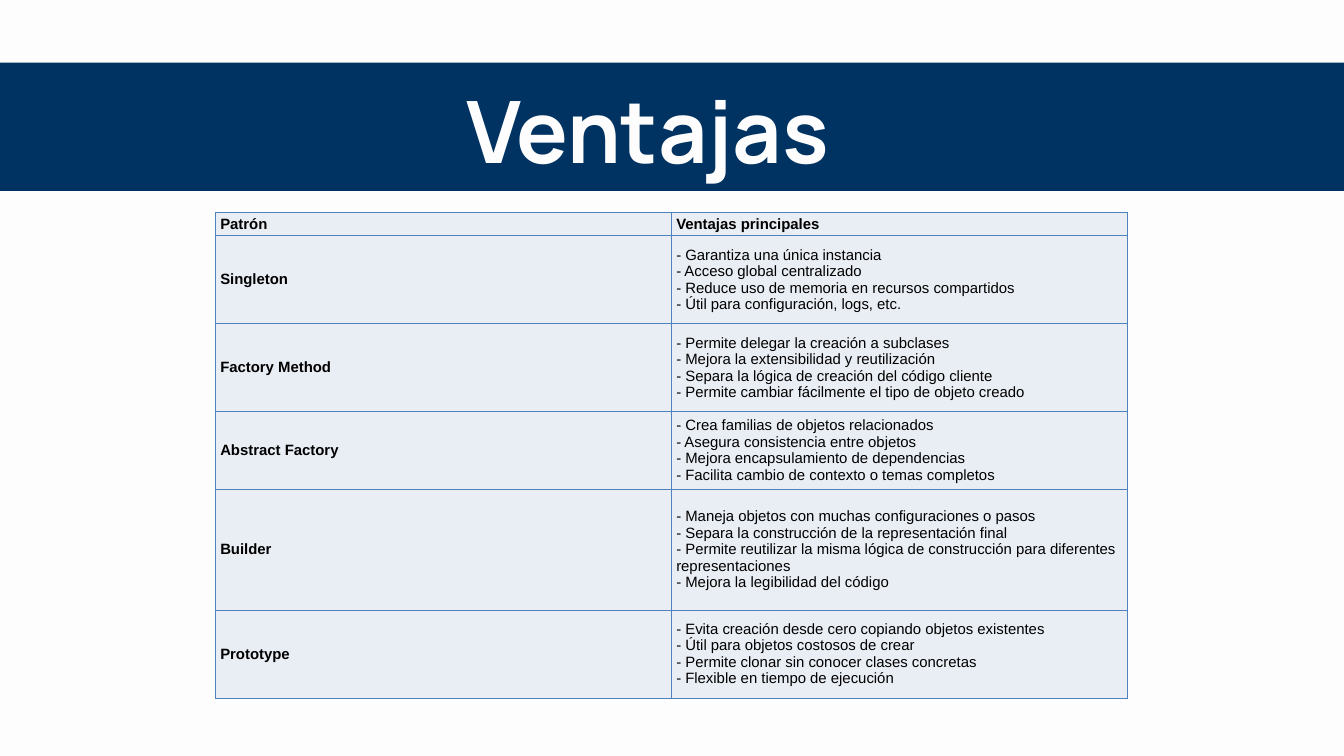
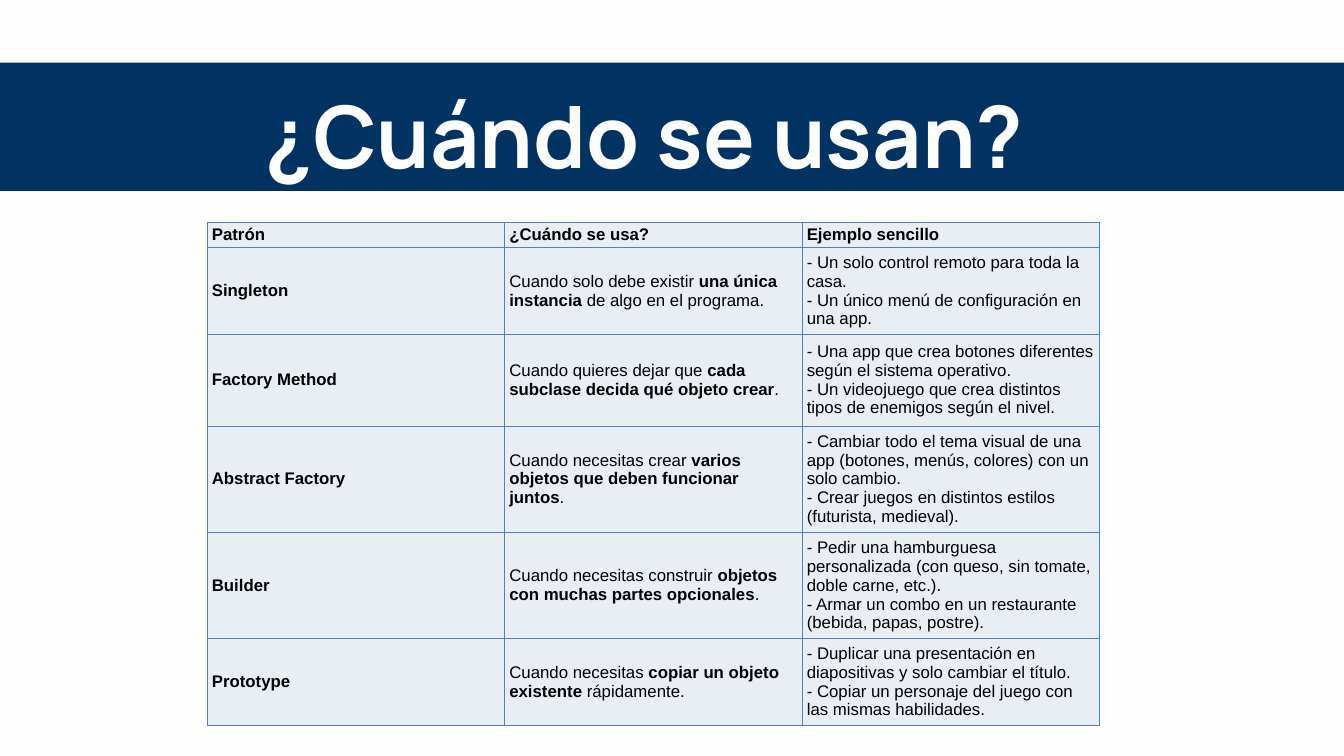
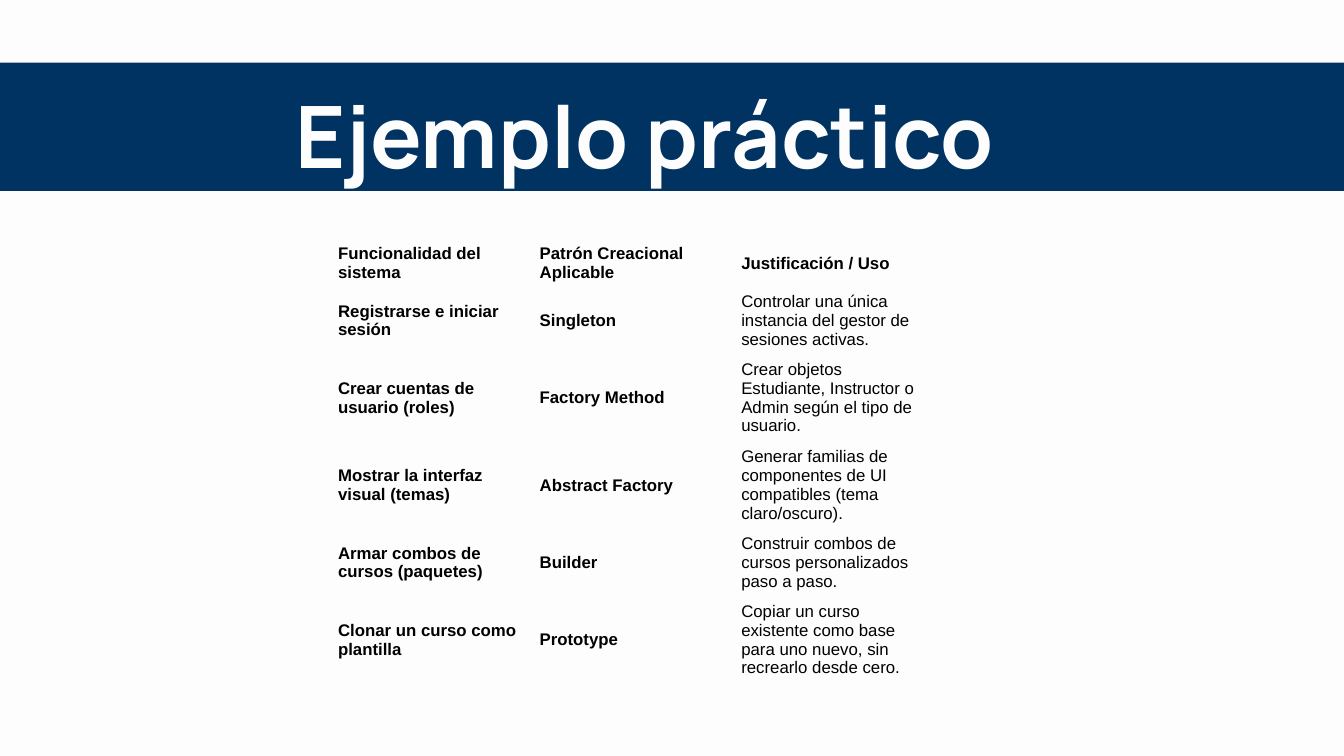
from dataclasses import dataclass

from lxml.etree import SubElement
from pptx import Presentation
from pptx.dml.color import RGBColor
from pptx.enum.shapes import MSO_SHAPE
from pptx.enum.text import MSO_ANCHOR, MSO_AUTO_SIZE, PP_ALIGN
from pptx.oxml.ns import qn
from pptx.util import Pt

COLORS = {
    "background": "FDFDFD",
    "band": "013362",
    "title": "FDFDFD",
    "text": "000000",
    "cell": "E9EDF4",
    "border": "4F81BD",
}
TITLE_FONT = "Manrope"
BODY_FONT = "Arial"
NO_GRID_STYLE = "{2D5ABB26-0587-4C30-8999-92F81FD0307C}"
BOLD_MARK = "**"


@dataclass(frozen=True)
class Title:
    text: str
    left: float = 96.5
    top: float = 44.6


@dataclass(frozen=True)
class Grid:
    left: float
    top: float
    column_width: float
    row_heights: list[float]
    rows: list[list[str]]
    size: float = 18
    bold_columns: int = 1
    boxed: bool = True
    margin_x: float = 5
    margin_y: float = 3


@dataclass(frozen=True)
class Page:
    title: Title
    grid: Grid


ADVANTAGES = Page(
    Title("Ventajas", 100, 38.2),
    Grid(231, 227.4, 488.6, [25.2, 94.3, 94.3, 81.6, 129.6, 94.3], [
        ["Patrón", "Ventajas principales"],
        ["Singleton",
         "- Garantiza una única instancia\n"
         "- Acceso global centralizado\n"
         "- Reduce uso de memoria en recursos compartidos\n"
         "- Útil para configuración, logs, etc."],
        ["Factory Method",
         "- Permite delegar la creación a subclases\n"
         "- Mejora la extensibilidad y reutilización\n"
         "- Separa la lógica de creación del código cliente\n"
         "- Permite cambiar fácilmente el tipo de objeto creado"],
        ["Abstract Factory",
         "- Crea familias de objetos relacionados\n"
         "- Asegura consistencia entre objetos\n"
         "- Mejora encapsulamiento de dependencias\n"
         "- Facilita cambio de contexto o temas completos"],
        ["Builder",
         "- Maneja objetos con muchas configuraciones o pasos\n"
         "- Separa la construcción de la representación final\n"
         "- Permite reutilizar la misma lógica de construcción para "
         "diferentes representaciones\n"
         "- Mejora la legibilidad del código"],
        ["Prototype",
         "- Evita creación desde cero copiando objetos existentes\n"
         "- Útil para objetos costosos de crear\n"
         "- Permite clonar sin conocer clases concretas\n"
         "- Flexible en tiempo de ejecución"],
    ], size=16),
)

USE_CASES = Page(
    Title("¿Cuándo se usan?"),
    Grid(222, 237.8, 318.7, [26.8, 91.1, 98.6, 113.3, 113, 92.1], [
        ["Patrón", "¿Cuándo se usa?", "Ejemplo sencillo"],
        ["Singleton",
         "Cuando solo debe existir **una única instancia** de algo en el programa.",
         "- Un solo control remoto para toda la casa.\n"
         "- Un único menú de configuración en una app."],
        ["Factory Method",
         "Cuando quieres dejar que **cada subclase decida qué objeto crear**.",
         "- Una app que crea botones diferentes según el sistema operativo.\n"
         "- Un videojuego que crea distintos tipos de enemigos según el nivel."],
        ["Abstract Factory",
         "Cuando necesitas crear **varios objetos que deben funcionar juntos**.",
         "- Cambiar todo el tema visual de una app (botones, menús, colores) "
         "con un solo cambio.\n"
         "- Crear juegos en distintos estilos (futurista, medieval)."],
        ["Builder",
         "Cuando necesitas construir **objetos con muchas partes opcionales**.",
         "- Pedir una hamburguesa personalizada (con queso, sin tomate, "
         "doble carne, etc.).\n"
         "- Armar un combo en un restaurante (bebida, papas, postre)."],
        ["Prototype",
         "Cuando necesitas **copiar un objeto existente** rápidamente.",
         "- Duplicar una presentación en diapositivas y solo cambiar el título.\n"
         "- Copiar un personaje del juego con las mismas habilidades."],
    ]),
)

PRACTICE = Page(
    Title("Ejemplo práctico"),
    Grid(355, 257, 216, [50.5, 72, 93.5, 93.5, 72, 93.5], [
        ["Funcionalidad del sistema", "Patrón Creacional Aplicable",
         "Justificación / Uso"],
        ["Registrarse e iniciar sesión", "Singleton",
         "Controlar una única instancia del gestor de sesiones activas."],
        ["Crear cuentas de usuario (roles)", "Factory Method",
         "Crear objetos Estudiante, Instructor o Admin según el tipo de usuario."],
        ["Mostrar la interfaz visual (temas)", "Abstract Factory",
         "Generar familias de componentes de UI compatibles (tema claro/oscuro)."],
        ["Armar combos de cursos (paquetes)", "Builder",
         "Construir combos de cursos personalizados paso a paso."],
        ["Clonar un curso como plantilla", "Prototype",
         "Copiar un curso existente como base para uno nuevo, "
         "sin recrearlo desde cero."],
    ], bold_columns=2, boxed=False, margin_x=7.2, margin_y=3.6),
)


def color(name: str) -> RGBColor:
    return RGBColor.from_string(COLORS[name])


def add_run(p, text: str, font: str, size: float, ink: str, bold: bool) -> None:
    r = p.add_run()
    r.text = text
    r.font.name = font
    r.font.size = Pt(size)
    r.font.bold = bold
    r.font.color.rgb = color(ink)


def add_band(s) -> None:
    sp = s.shapes.add_shape(MSO_SHAPE.RECTANGLE, Pt(-46), Pt(67), Pt(1532), Pt(137.5))
    sp.shadow.inherit = False
    sp.fill.solid()
    sp.fill.fore_color.rgb = color("band")
    sp.line.fill.background()


def add_title(s, title: Title) -> None:
    sp = s.shapes.add_textbox(Pt(title.left), Pt(title.top), Pt(1188), Pt(156))
    tf = sp.text_frame
    tf.word_wrap = True
    tf.auto_size = MSO_AUTO_SIZE.SHAPE_TO_FIT_TEXT
    tf.margin_left = tf.margin_top = tf.margin_right = tf.margin_bottom = 0
    p = tf.paragraphs[0]
    p.alignment = PP_ALIGN.CENTER
    p.line_spacing = 1.4
    add_run(p, title.text, TITLE_FONT, 92.2, "title", True)


def add_borders(cell) -> None:
    props = cell._tc.get_or_add_tcPr()
    for side in ("a:lnL", "a:lnR", "a:lnT", "a:lnB"):
        line = SubElement(props, qn(side), w=str(Pt(1)))
        fill = SubElement(line, qn("a:solidFill"))
        SubElement(fill, qn("a:srgbClr"), val=COLORS["border"])


def fill_cell(cell, text: str, bold: bool, grid: Grid) -> None:
    cell.vertical_anchor = MSO_ANCHOR.MIDDLE
    cell.margin_left = cell.margin_right = Pt(grid.margin_x)
    cell.margin_top = cell.margin_bottom = Pt(grid.margin_y)
    if grid.boxed:
        add_borders(cell)
        cell.fill.solid()
        cell.fill.fore_color.rgb = color("cell")
    else:
        cell.fill.background()
    p = cell.text_frame.paragraphs[0]
    for number, line in enumerate(text.split("\n")):
        if number:
            p.add_line_break()
        for part, words in enumerate(line.split(BOLD_MARK)):
            add_run(p, words, BODY_FONT, grid.size, "text", bold or part % 2 == 1)


def add_grid(s, grid: Grid) -> None:
    columns = len(grid.rows[0])
    frame = s.shapes.add_table(
        len(grid.rows), columns, Pt(grid.left), Pt(grid.top),
        Pt(grid.column_width * columns), Pt(sum(grid.row_heights)),
    )
    table = frame.table
    table.first_row = table.horz_banding = False
    table._tbl.tblPr.find(qn("a:tableStyleId")).text = NO_GRID_STYLE
    for column in table.columns:
        column.width = Pt(grid.column_width)
    for i, (height, texts) in enumerate(zip(grid.row_heights, grid.rows)):
        table.rows[i].height = Pt(height)
        for j, text in enumerate(texts):
            bold = i == 0 or j < grid.bold_columns
            fill_cell(table.cell(i, j), text, bold, grid)


def add_page(prs, page: Page) -> None:
    s = prs.slides.add_slide(prs.slide_layouts[6])
    s.background.fill.solid()
    s.background.fill.fore_color.rgb = color("background")
    add_band(s)
    add_title(s, page.title)
    add_grid(s, page.grid)


def main() -> None:
    prs = Presentation()
    prs.slide_width = Pt(1440)
    prs.slide_height = Pt(810)
    for page in (ADVANTAGES, USE_CASES, PRACTICE):
        add_page(prs, page)
    prs.save("out.pptx")


if __name__ == "__main__":
    main()
